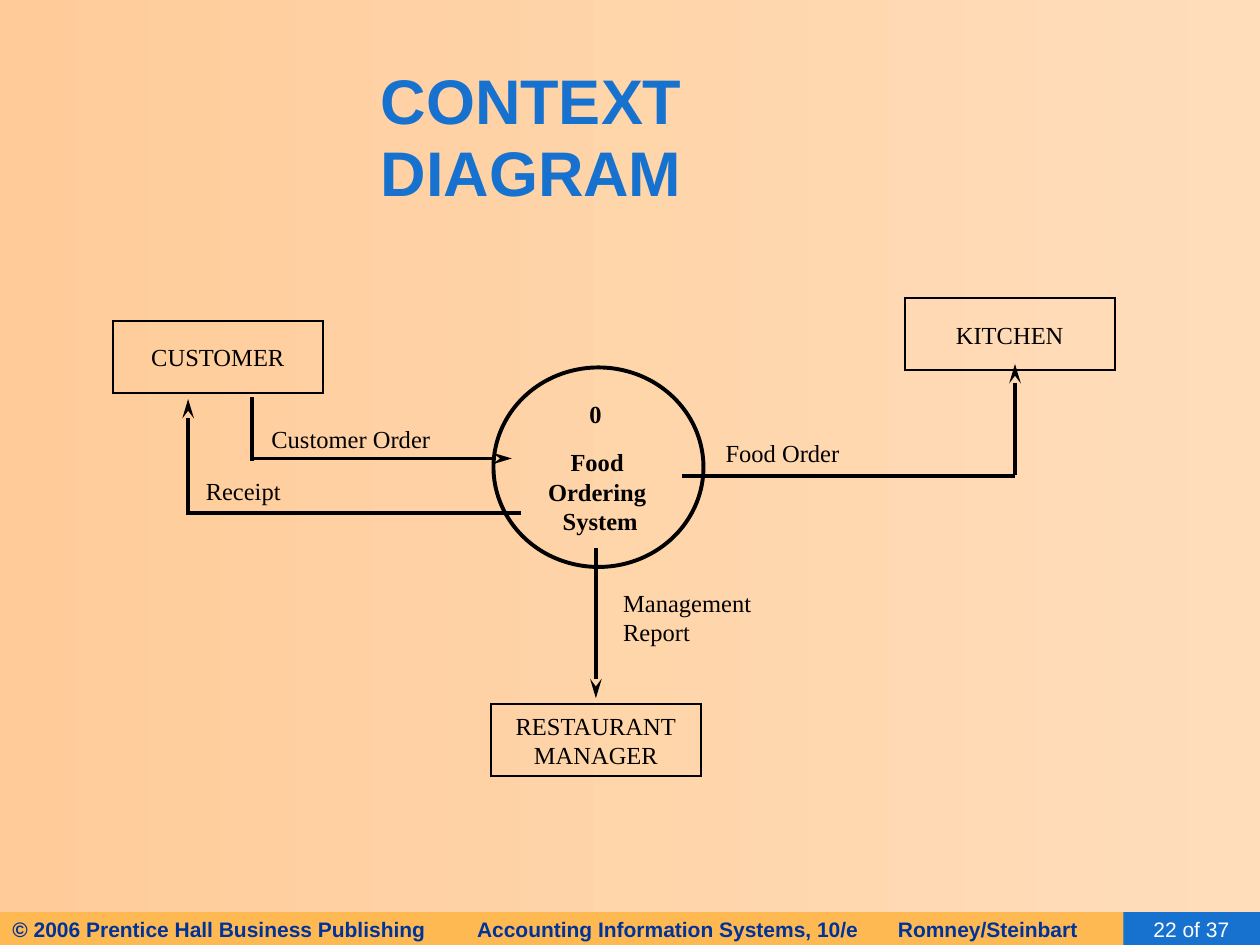
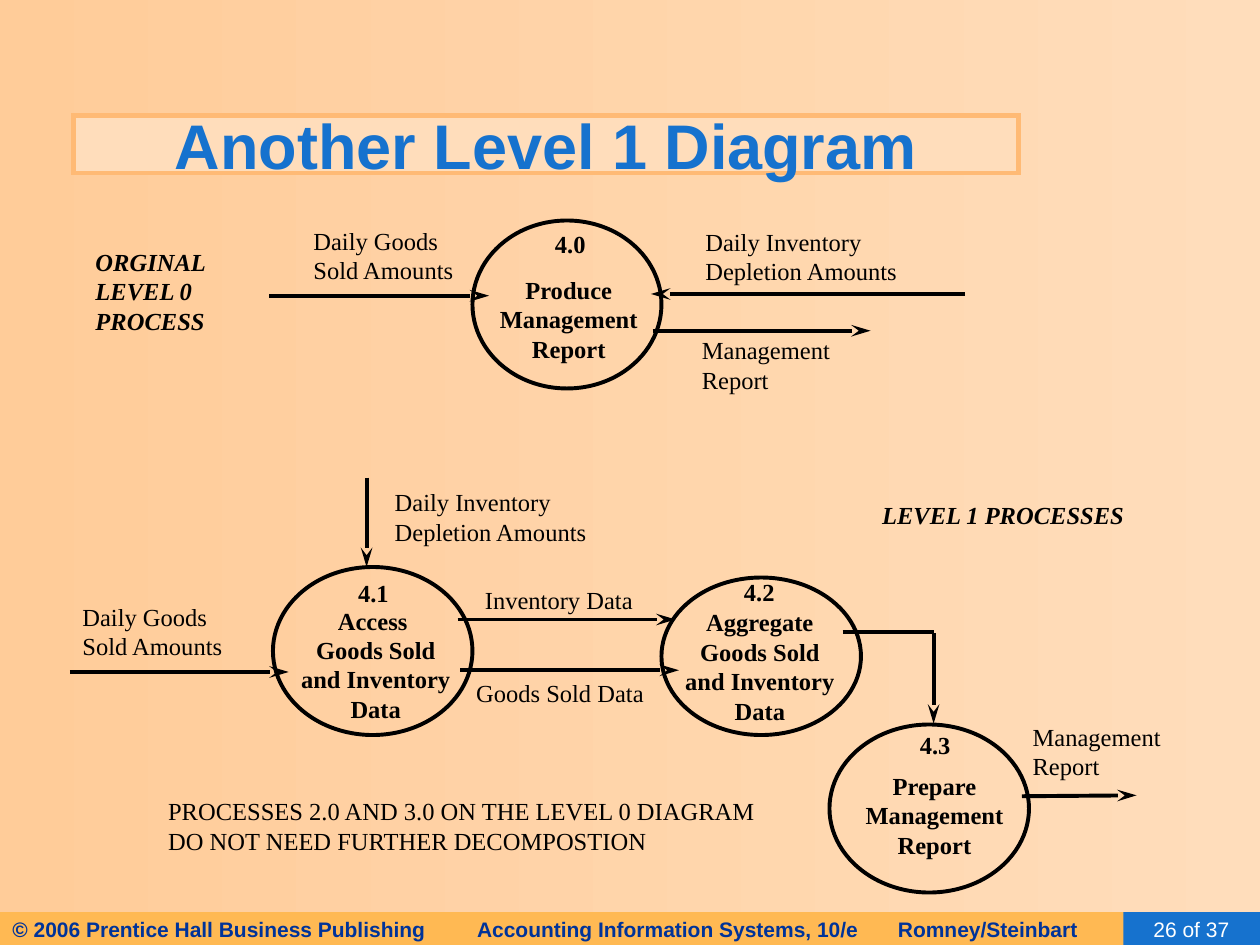
import lxml.etree
import pptx
import pptx.dml.color
import pptx.enum.shapes
import pptx.enum.text
import pptx.oxml
import pptx.oxml.ns
import pptx.util

Pt = pptx.util.Pt
RGB = pptx.dml.color.RGBColor.from_string
SHAPE = pptx.enum.shapes.MSO_SHAPE
STRAIGHT = pptx.enum.shapes.MSO_CONNECTOR.STRAIGHT
ALIGN = pptx.enum.text.PP_ALIGN
ANCHOR = pptx.enum.text.MSO_ANCHOR
AUTO = pptx.enum.text.MSO_AUTO_SIZE
qn = pptx.oxml.ns.qn

SERIF = {"name": "Times New Roman", "size": Pt(14), "bold": False, "italic": False}
SANS = {"name": "Arial", "size": Pt(12), "bold": False}
THEME = {
    "background": ("FFCC99", "FFDDBB"),
    "ink": "000000",
    "band": "FFB953",
    "counter": "1672CE",
    "title fill": "FFDDBB",
    "title line": "FFBA75",
    "box line": Pt(1),
    "flow line": Pt(2.25),
    "line pitch": 16.9,
    "label slack": 14,
    # each style: font values, colour, alignment
    "title": ({**SANS, "size": Pt(36), "bold": True}, "1672CE", ALIGN.CENTER),
    "footer": ({**SANS, "bold": True}, "003399", ALIGN.LEFT),
    "page": (SANS, "FFFFFF", ALIGN.RIGHT),
    "entity": (SERIF, "000000", ALIGN.CENTER),
    "flow": (SERIF, "000000", ALIGN.LEFT),
    "number": ({**SERIF, "bold": True}, "000000", ALIGN.LEFT),
    "process": ({**SERIF, "bold": True}, "000000", ALIGN.CENTER),
    "heading": ({**SERIF, "bold": True, "italic": True}, "000000", ALIGN.LEFT),
}

COPYRIGHT = ("© 2006 Prentice Hall Business Publishing\t"
             "Accounting Information Systems, 10/e\tRomney/Steinbart")
FOOTER_TABS = (265.5, 506)
FOOTER_TOP, FOOTER_HEIGHT = 521.25, 18.75

# entities: left, top, name; labels: left, top, text width, style, lines
# flows: from x, from y, to x, to y, arrow; circles: left, top, width, height
DIAGRAMS = [
    {
        "title": "CONTEXT DIAGRAM",
        "title box": (159, 36, 289, 86),
        "framed": False,
        "page": "22 of 37",
        "entities": [
            (64.5, 183.5, "CUSTOMER"),
            (517, 170.5, "KITCHEN"),
            (280.5, 402.5, "RESTAURANT\nMANAGER"),
        ],
        "labels": [
            (329.75, 224.5, 21.5, "number", "0"),
            (306, 252, 74, "process", "Food \nOrdering \nSystem"),
            (349, 332.5, 91, "flow", "Management\nReport"),
            (407.5, 247, 79, "flow", "Food Order"),
            (148, 238.5, 105, "flow", "Customer Order"),
            (110.5, 268.5, 57, "flow", "Receipt"),
        ],
        "flows": [
            (144, 227, 144, 263.5, False),
            (145, 262, 292.5, 262, True),
            (390, 272, 580, 272, False),
            (580, 271.5, 580, 208, True),
            (340.5, 313, 340.5, 399, True),
            (108, 293, 297.5, 293, False),
            (107.5, 294.5, 107.5, 228, True),
        ],
        "circles": [(282, 210, 120, 114)],
    },
    {
        "title": "Another Level 1 Diagram",
        "title box": (42, 66, 540, 33),
        "framed": True,
        "page": "26 of 37",
        "entities": [],
        "labels": [
            (47.5, 137.5, 80.5, "heading", "ORGINAL\nLEVEL 0\nPROCESS"),
            (172, 125.5, 95, "flow", "Daily Goods\nSold Amounts"),
            (310, 127.5, 31.5, "number", "4.0"),
            (278.5, 153.5, 93, "process", "Produce\nManagement\nReport"),
            (396, 126, 124.5, "flow", "Daily Inventory\nDepletion Amounts"),
            (394, 188, 91, "flow", "Management\nReport"),
            (497, 282, 153.5, "heading", "LEVEL 1 PROCESSES"),
            (218.5, 275, 124.5, "flow", "Daily Inventory\nDepletion Amounts"),
            (40, 340.5, 95, "flow", "Daily Goods\nSold Amounts"),
            (197.5, 327, 31.5, "number", "4.1"),
            (165, 342.5, 99.5, "process", "Access \nGoods Sold\nand Inventory\nData"),
            (270, 330.5, 98.5, "flow", "Inventory Data"),
            (265, 384, 110, "flow", "Goods Sold Data"),
            (418, 326, 31.5, "number", "4.2"),
            (384.5, 343.5, 99.5, "process", "Aggregate\nGoods Sold\nand Inventory\nData"),
            (518.5, 413.5, 31.5, "number", "4.3"),
            (487.5, 437, 93, "process", "Prepare\nManagement\nReport"),
            (583, 409, 91, "flow", "Management\nReport"),
            (89, 451.5, 351.5, "flow",
             "PROCESSES 2.0 AND 3.0 ON THE LEVEL 0 DIAGRAM\nDO NOT NEED FURTHER DECOMPOSTION"),
        ],
        "flows": [
            (154, 169, 279.5, 169, True),
            (551.5, 168, 372, 168, True),
            (373, 189, 497.5, 189, True),
            (209.5, 273, 209.5, 324, True),
            (40, 384, 165, 384, True),
            (261.5, 354, 386, 354, True),
            (263, 383, 388, 383, True),
            (481.5, 361, 533.5, 361, False),
            (533.5, 362, 533.5, 413.5, True),
            (584, 455, 649.5, 454.5, True),
        ],
        "circles": [
            (270, 126, 108, 96),
            (156, 324, 114, 96),
            (378, 330, 114, 90),
            (474, 414, 114, 96),
        ],
    },
]


def write(frame, text, style, tabs=()):
    """Fill a text frame, one paragraph a line, in a style of the theme."""
    values, color, align = THEME[style]
    for index, line in enumerate(text.split("\n")):
        paragraph = frame.add_paragraph() if index else frame.paragraphs[0]
        paragraph.alignment = align
        if tabs:
            stops = lxml.etree.SubElement(paragraph._p.get_or_add_pPr(), qn("a:tabLst"))
            for position in tabs:
                lxml.etree.SubElement(stops, qn("a:tab"), pos=str(Pt(position)), algn="l")
        run = paragraph.add_run()
        run.text = line
        for key, value in values.items():
            setattr(run.font, key, value)
        run.font.color.rgb = RGB(color)


def add_outline(slide, kind, box, fill=None, width=None):
    """Add a flat preset shape; without a width it has no line."""
    shape = slide.shapes.add_shape(kind, *map(Pt, box))
    shape.shadow.inherit = False
    if fill:
        shape.fill.solid()
        shape.fill.fore_color.rgb = RGB(fill)
    else:
        shape.fill.background()
    if width:
        shape.line.width = width
        shape.line.color.rgb = RGB(THEME["ink"])
        lxml.etree.SubElement(shape.line._get_or_add_ln(), qn("a:miter"), lim="800000")
    else:
        shape.line.fill.background()
    shape.text_frame.vertical_anchor = ANCHOR.MIDDLE
    return shape


deck = pptx.Presentation()
deck.slide_width, deck.slide_height = Pt(720), Pt(540)
backdrop = deck.slide_master.background.fill
backdrop.gradient()
backdrop.gradient_angle = 0
for stop, color, position in zip(backdrop.gradient_stops, THEME["background"], (0, 1)):
    stop.color.rgb = RGB(color)
    stop.position = position

for diagram in DIAGRAMS:
    slide = deck.slides.add_slide(deck.slide_layouts[5])

    band = add_outline(slide, SHAPE.RECTANGLE, (0, FOOTER_TOP, 666, FOOTER_HEIGHT), THEME["band"])
    write(band.text_frame, COPYRIGHT, "footer", FOOTER_TABS)
    counter = add_outline(slide, SHAPE.RECTANGLE, (642, FOOTER_TOP, 78, FOOTER_HEIGHT),
                          THEME["counter"])
    counter.text_frame.margin_right = Pt(17.5)
    write(counter.text_frame, diagram["page"], "page")

    title = slide.shapes.title
    title.left, title.top, title.width, title.height = map(Pt, diagram["title box"])
    heading = title.text_frame
    heading.word_wrap = True
    heading.auto_size = AUTO.NONE
    write(heading, diagram["title"], "title")
    if diagram["framed"]:
        heading.vertical_anchor = ANCHOR.MIDDLE
        title.fill.solid()
        title.fill.fore_color.rgb = RGB(THEME["title fill"])
        title.line.color.rgb = RGB(THEME["title line"])
        title.line.width = Pt(2.5)
        lxml.etree.SubElement(title.line._get_or_add_ln(), qn("a:miter"), lim="800000")
    else:
        heading.vertical_anchor = ANCHOR.TOP
        heading.margin_left = heading.margin_right = Pt(5)
        heading.margin_top = heading.margin_bottom = Pt(2.5)
        heading.paragraphs[0].line_spacing = 0.95

    for left, top, name in diagram["entities"]:
        entity = add_outline(slide, SHAPE.RECTANGLE, (left, top, 120, 41), width=THEME["box line"])
        entity.text_frame.word_wrap = False
        write(entity.text_frame, name, "entity")

    for left, top, width, style, text in diagram["labels"]:
        slack = THEME["label slack"]
        if style == "process":
            left -= slack / 2  # centred text keeps its middle
        height = 7.2 + THEME["line pitch"] * len(text.split("\n"))
        label = slide.shapes.add_textbox(Pt(left), Pt(top), Pt(width + slack), Pt(height))
        label.text_frame.word_wrap = True
        label.text_frame.auto_size = AUTO.NONE
        write(label.text_frame, text, style)

    for *ends, arrow in diagram["flows"]:
        flow = slide.shapes.add_connector(STRAIGHT, *map(Pt, ends))
        flow.line.width = THEME["flow line"]
        flow.line.color.rgb = RGB(THEME["ink"])
        if arrow:
            lxml.etree.SubElement(flow.line._get_or_add_ln(), qn("a:tailEnd"),
                                  type="stealth", w="med", len="lg")
        lxml.etree.SubElement(flow._element.spPr, qn("a:effectLst"))

    for circle in diagram["circles"]:
        add_outline(slide, SHAPE.OVAL, circle, width=THEME["flow line"])

deck.save("out.pptx")
